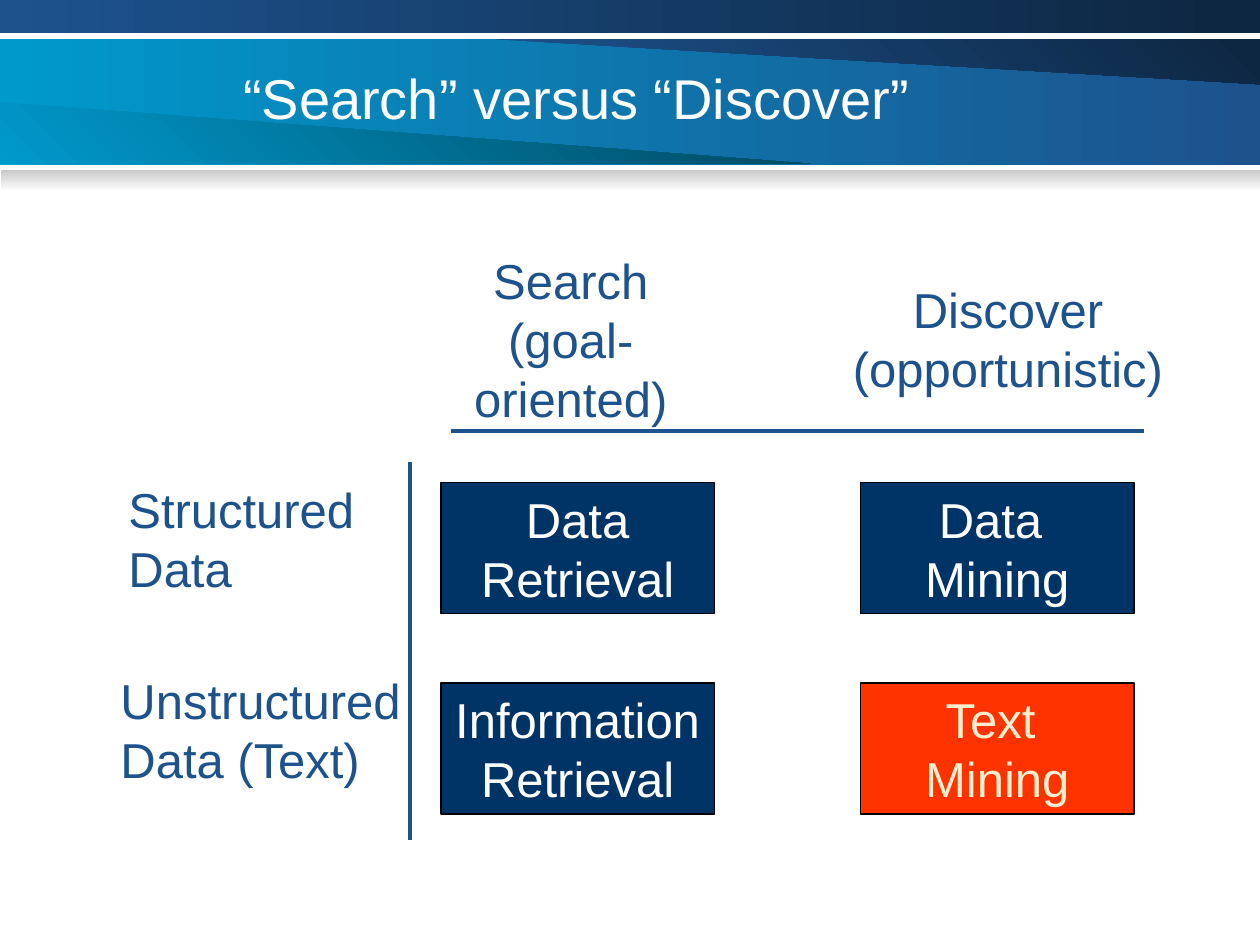
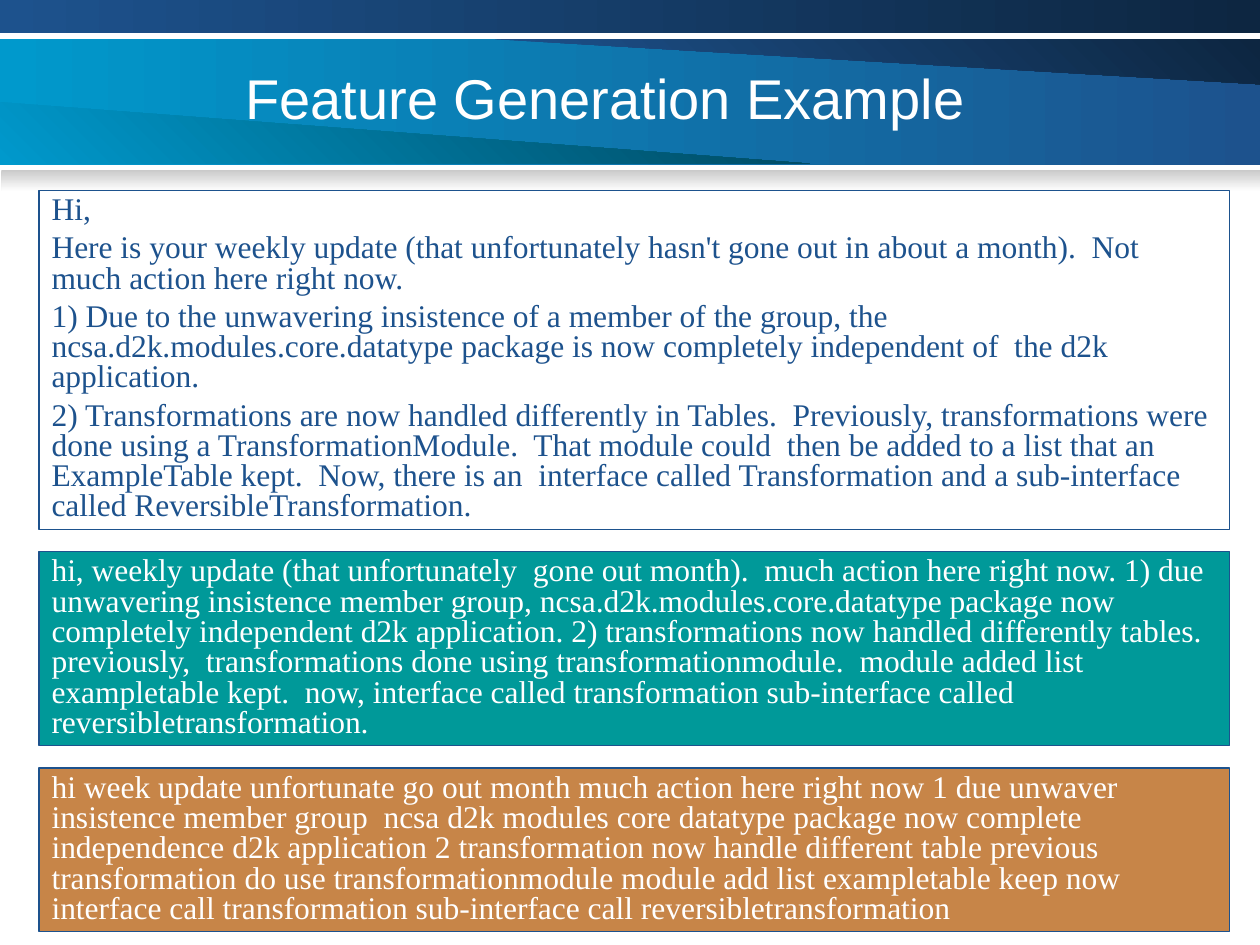
from dataclasses import dataclass
from typing import Any, NamedTuple

from lxml import etree
from pptx import Presentation
from pptx.dml.color import RGBColor
from pptx.enum.shapes import MSO_CONNECTOR, MSO_SHAPE
from pptx.enum.text import MSO_ANCHOR, PP_ALIGN
from pptx.oxml.ns import qn
from pptx.util import Cm, Pt

RECTANGLE = MSO_SHAPE.RECTANGLE
STRAIGHT = MSO_CONNECTOR.STRAIGHT
TOP, MIDDLE = MSO_ANCHOR.TOP, MSO_ANCHOR.MIDDLE
LEFT, CENTER = PP_ALIGN.LEFT, PP_ALIGN.CENTER


@dataclass(frozen=True)
class Theme:
    blue: str = "1D528D"
    navy: str = "0D2641"
    cyan: str = "0099CC"
    deep_teal: str = "00475E"
    shade: str = "CACACA"
    white: str = "FFFFFF"
    black: str = "000000"
    cell: str = "003366"
    highlight: str = "FF3300"
    cream: str = "F7EECD"
    teal: str = "009999"
    ochre: str = "C78548"
    sans: str = "Arial"
    serif: str = "Times New Roman"
    title_size: int = 32
    matrix_size: int = 28
    passage_size: int = 18
    border: float = 0.75
    rule: float = 2


THEME = Theme()


class Area(NamedTuple):
    """Left, top, width and height in centimetres."""
    left: float
    top: float
    width: float
    height: float


class Gradient(NamedTuple):
    start: str
    end: str
    angle: int = 0  # counter-clockwise degrees


@dataclass(frozen=True)
class TextStyle:
    size: int
    color: str
    font: str = THEME.sans
    align: Any = LEFT
    anchor: Any = MIDDLE
    wrap: bool = True
    line_spacing: float = 1.0
    space_before: float = 0


class Label(NamedTuple):
    area: Area
    lines: tuple[str, ...]
    align: Any


class Cell(NamedTuple):
    column: int
    row: int
    lines: tuple[str, ...]
    fill: str = THEME.cell
    color: str = THEME.white


class Passage(NamedTuple):
    height: float
    fill: str
    color: str
    paragraphs: tuple[str, ...]


# Header bands shared by both slides
BAND = (Area(0, 0.79, 25.42, 2.54), Gradient(THEME.cyan, THEME.blue))
WEDGES = (
    (((24.94, 0.79), (9.98, 0.79), (25.4, 1.7), (25.4, 0.79)),
     Gradient(THEME.blue, THEME.navy, 45)),
    (((0.48, 3.3), (16.33, 3.3), (0, 2.06), (0, 3.3)),
     Gradient(THEME.cyan, THEME.deep_teal, 45)),
)
EDGES = (
    (Area(0, 0, 25.4, 0.66), Gradient(THEME.blue, THEME.navy)),
    (Area(0.03, 3.43, 25.37, 0.43), Gradient(THEME.shade, THEME.white, 270)),
)

# Matrix of search and discovery
CELL_LEFT, CELL_TOP = 8.89, 9.73
COLUMN_STEP, ROW_STEP = 8.46, 4.04
CELL_WIDTH, CELL_HEIGHT = 5.51, 2.64
CELLS = (
    Cell(0, 0, ("Data", "Retrieval")),
    Cell(1, 0, ("Data ", "Mining")),
    Cell(0, 1, ("Information", "Retrieval")),
    Cell(1, 1, ("Text ", "Mining"), THEME.highlight, THEME.cream),
)
HEADINGS = (
    Label(Area(8.05, 5.51, 6.91, 2.64), ("Search", "(goal-oriented)"), CENTER),
    Label(Area(16.94, 5.51, 6.76, 2.64), ("Discover", "(opportunistic)"), CENTER),
    Label(Area(2.34, 9.53, 5.05, 2.64), ("Structured", "Data"), LEFT),
    Label(Area(2.18, 13.39, 6.15, 2.64), ("Unstructured", "Data (Text)"), LEFT),
)
AXES = (((9.09, 8.69), (23.06, 8.69)), ((8.26, 9.32), (8.26, 16.94)))

# Stages of the message, from raw text to stemmed words
PASSAGE_LEFT, PASSAGE_TOP, PASSAGE_WIDTH, PASSAGE_GAP = 0.79, 3.84, 24.0, 0.45
PASSAGES = (
    Passage(6.83, THEME.white, THEME.blue, (
        "Hi,",
        "Here is your weekly update (that unfortunately hasn't gone out in about "
        "a month).  Not much action here right now.",
        "1) Due to the unwavering insistence of a member of the group, the "
        "ncsa.d2k.modules.core.datatype package is now completely independent "
        "of  the d2k application.",
        "2) Transformations are now handled differently in Tables.  Previously, "
        "transformations were done using a TransformationModule.  That module "
        "could  then be added to a list that an ExampleTable kept.  Now, there "
        "is an  interface called Transformation and a sub-interface called "
        "ReversibleTransformation.",
    )),
    Passage(3.91, THEME.teal, THEME.white, (
        "hi, weekly update (that unfortunately  gone out month).  much action "
        "here right now. 1) due unwavering insistence member group, "
        "ncsa.d2k.modules.core.datatype package now completely independent d2k "
        "application. 2) transformations now handled differently tables.  "
        "previously,  transformations done using transformationmodule.  module "
        "added list exampletable kept.  now, interface called transformation "
        "sub-interface called reversibletransformation.",
    )),
    Passage(3.3, THEME.ochre, THEME.white, (
        "hi week update unfortunate go out month much action here right now 1 "
        "due unwaver insistence member group  ncsa d2k modules core datatype "
        "package now complete independence d2k application 2 transformation now "
        "handle different table previous transformation do use "
        "transformationmodule module add list exampletable keep now interface "
        "call transformation sub-interface call reversibletransformation",
    )),
)


def rgb(value: str) -> RGBColor:
    return RGBColor.from_string(value)


def lengths(values: tuple[float, ...]) -> list[int]:
    return [Cm(value) for value in values]


def paint_gradient(shape: Any, gradient: Gradient) -> None:
    shape.shadow.inherit = False
    shape.line.fill.background()
    shape.fill.gradient()
    shape.fill.gradient_angle = gradient.angle
    for stop, color in zip(shape.fill.gradient_stops, gradient[:2]):
        stop.color.rgb = rgb(color)


def write(shape: Any, lines: tuple[str, ...], style: TextStyle) -> None:
    frame = shape.text_frame
    frame.word_wrap = style.wrap
    frame.vertical_anchor = style.anchor
    frame.text = "\n".join(lines)
    for index, paragraph in enumerate(frame.paragraphs):
        paragraph.alignment = style.align
        paragraph.line_spacing = style.line_spacing
        if index:
            paragraph.space_before = Pt(style.space_before)
        paragraph.font.size = Pt(style.size)
        paragraph.font.name = style.font
        paragraph.font.color.rgb = rgb(style.color)


def add_text(slide: Any, area: Area, lines: tuple[str, ...], style: TextStyle) -> None:
    write(slide.shapes.add_textbox(*lengths(area)), lines, style)


def add_panel(slide: Any, area: Area, lines: tuple[str, ...], style: TextStyle,
              fill: str, border: str) -> None:
    panel = slide.shapes.add_shape(RECTANGLE, *lengths(area))
    panel.shadow.inherit = False
    panel.fill.solid()
    panel.fill.fore_color.rgb = rgb(fill)
    panel.line.color.rgb = rgb(border)
    panel.line.width = Pt(THEME.border)
    write(panel, lines, style)


def add_axis(slide: Any, start: tuple[float, float], end: tuple[float, float]) -> None:
    axis = slide.shapes.add_connector(STRAIGHT, *lengths(start + end))
    axis.line.color.rgb = rgb(THEME.blue)
    axis.line.width = Pt(THEME.rule)
    etree.SubElement(axis._element.spPr, qn("a:effectLst"))


def add_band(slide: Any, area: Area, gradient: Gradient) -> None:
    paint_gradient(slide.shapes.add_shape(RECTANGLE, *lengths(area)), gradient)


def start_slide(deck: Any, title: str, title_left: float) -> Any:
    slide = deck.slides.add_slide(deck.slide_layouts[6])
    add_band(slide, *BAND)
    for corners, gradient in WEDGES:
        first, *rest = [lengths(corner) for corner in corners]
        outline = slide.shapes.build_freeform(*first)
        outline.add_line_segments(rest, close=True)
        paint_gradient(outline.convert_to_shape(), gradient)
    for area, gradient in EDGES:
        add_band(slide, area, gradient)
    add_text(slide, Area(title_left, 0.76, 18.42, 2.41), (title,),
             TextStyle(THEME.title_size, THEME.white))
    return slide


def build_matrix(deck: Any) -> None:
    slide = start_slide(deck, "“Search” versus “Discover”", 4.65)
    for cell in CELLS:
        area = Area(CELL_LEFT + cell.column * COLUMN_STEP,
                    CELL_TOP + cell.row * ROW_STEP, CELL_WIDTH, CELL_HEIGHT)
        style = TextStyle(THEME.matrix_size, cell.color, align=CENTER)
        add_panel(slide, area, cell.lines, style, cell.fill, THEME.black)
    for heading in HEADINGS:
        style = TextStyle(THEME.matrix_size, THEME.blue, align=heading.align, wrap=False)
        add_text(slide, heading.area, heading.lines, style)
    for start, end in AXES:
        add_axis(slide, start, end)


def build_feature_example(deck: Any) -> None:
    slide = start_slide(deck, "Feature Generation Example", 4.7)
    top = PASSAGE_TOP
    for passage in PASSAGES:
        style = TextStyle(THEME.passage_size, passage.color, THEME.serif,
                          anchor=TOP, line_spacing=0.8, space_before=4.5)
        area = Area(PASSAGE_LEFT, top, PASSAGE_WIDTH, passage.height)
        add_panel(slide, area, passage.paragraphs, style, passage.fill, THEME.blue)
        top += passage.height + PASSAGE_GAP


def main() -> None:
    deck = Presentation()
    deck.slide_width, deck.slide_height = Cm(25.4), Cm(19.05)
    build_matrix(deck)
    build_feature_example(deck)
    deck.save("out.pptx")


if __name__ == "__main__":
    main()
